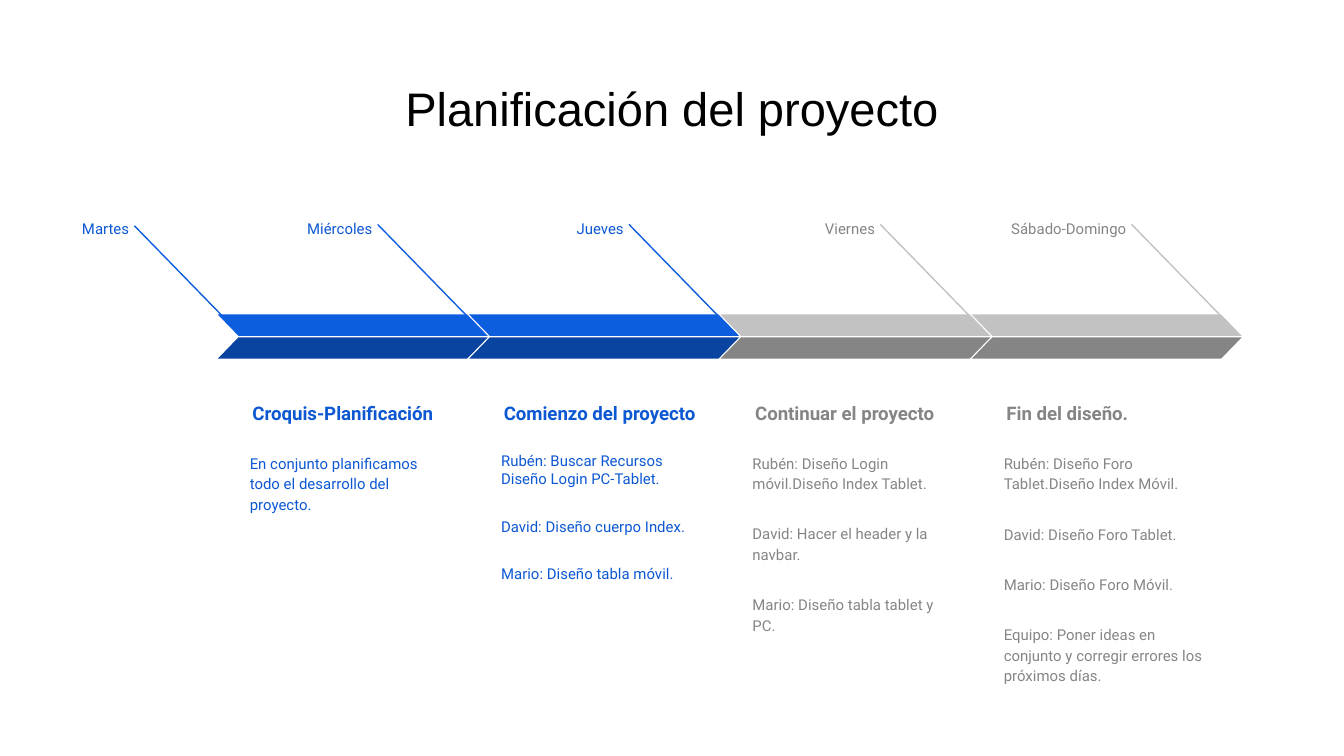
from lxml.etree import SubElement
from pptx import Presentation
from pptx.dml.color import RGBColor
from pptx.enum.shapes import MSO_CONNECTOR as CONN, MSO_SHAPE as SHAPE
from pptx.enum.text import MSO_ANCHOR as ANCHOR, PP_ALIGN as ALIGN
from pptx.oxml.ns import qn
from pptx.util import Inches, Pt

BLUE = {"text": "0C58D3", "top": "0D5DDF", "bottom": "0944A1"}
GRAY = {"text": "858585", "top": "C2C2C2", "bottom": "858585"}
LEFT, PITCH = 1.62, 1.87

STEPS = [
    ("Miércoles", 0.79, "Croquis-Planificación", BLUE, 1.15, 0.81,
     ["En conjunto planificamos todo el desarrollo del proyecto."]),
    ("Jueves", 0.68, "Comienzo del proyecto", BLUE, 1.0, 0.81,
     ["Rubén: Buscar Recursos Diseño Login PC-Tablet.",
      "David: Diseño cuerpo Index.",
      "Mario: Diseño tabla móvil."]),
    ("Viernes", 0.68, "Continuar el proyecto", GRAY, 1.15, 1.56,
     ["Rubén: Diseño Login móvil.Diseño Index Tablet.",
      "David: Hacer el header y la navbar.",
      "Mario: Diseño tabla tablet y PC."]),
    ("Sábado-Domingo", 1.09, "Fin del diseño.", GRAY, 1.15, 0.81,
     ["Rubén: Diseño Foro Tablet.Diseño Index Móvil.",
      "David: Diseño Foro Tablet.",
      "Mario: Diseño Foro Móvil.",
      "Equipo: Poner ideas en conjunto y corregir errores los próximos días."]),
]


def rgb(color):
    return RGBColor.from_string(color)


def set_frame(tf, anchor):
    tf.word_wrap = True
    tf.vertical_anchor = anchor
    tf.margin_left = tf.margin_right = Inches(0.1)
    tf.margin_top = tf.margin_bottom = Inches(0.1)


def add_run(p, text, size, color, font="Roboto", bold=False):
    r = p.add_run()
    r.text = text
    r.font.name = font
    r.font.size = Pt(size)
    r.font.bold = bold
    r.font.color.rgb = rgb(color)


def add_text(shapes, box, lines, color, size=8, bold=False, after=0,
             align=ALIGN.LEFT, anchor=ANCHOR.TOP, spacing=1.15):
    tf = shapes.add_textbox(*map(Inches, box)).text_frame
    set_frame(tf, anchor)
    for i, line in enumerate(lines):
        p = tf.add_paragraph() if i else tf.paragraphs[0]
        p.alignment = align
        p.line_spacing = spacing
        p.space_before = Pt(16 if i else 0)
        p.space_after = Pt(after)
        add_run(p, line, size, color, bold=bold)


def add_day(shapes, right, width, day, color):
    add_text(shapes, (right - width, 1.54, width, 0.26), [day], color,
             after=16, align=ALIGN.RIGHT)


def add_leader(shapes, x, y, color):
    c = shapes.add_connector(CONN.STRAIGHT, Inches(x), Inches(y),
                             Inches(x + 0.79), Inches(y + 0.81))
    c.line.color.rgb = rgb(color)
    c.line.width = Pt(0.75)
    SubElement(c._element.spPr, qn("a:effectLst"))


def add_band(shapes, x, y, color, flip=False):
    sp = shapes.add_shape(SHAPE.PARALLELOGRAM, Inches(x), Inches(y),
                          Inches(2.01), Inches(0.16))
    sp.adjustments[0] = 0.97
    sp.shadow.inherit = False
    sp.fill.solid()
    sp.fill.fore_color.rgb = rgb(color)
    sp.line.fill.background()
    if flip:
        sp._element.spPr.find(qn("a:xfrm")).set("flipH", "1")


def add_step(s, x, day, width, heading, colors, spacing, height, tasks):
    shapes = s.shapes.add_group_shape().shapes
    add_day(shapes, x + 1.25, width, day, colors["text"])
    add_text(shapes, (x + 0.16, 2.76, 1.65, 0.49), [heading], colors["text"],
             size=10, bold=True, anchor=ANCHOR.BOTTOM)
    add_text(shapes, (x + 0.14, 3.26, 1.69, height), tasks, colors["text"],
             spacing=spacing)
    add_leader(shapes, x + 1.19, 1.67, colors["top"])
    add_band(shapes, x, 2.34, colors["top"], flip=True)
    add_band(shapes, x, 2.51, colors["bottom"])


def add_title(s, text):
    sp = s.shapes.title
    sp.left, sp.top = Inches(0.34), Inches(0.49)
    sp.width, sp.height = Inches(9.32), Inches(0.63)
    set_frame(sp.text_frame, ANCHOR.MIDDLE)
    p = sp.text_frame.paragraphs[0]
    p.alignment = ALIGN.CENTER
    add_run(p, text, 25.2, "000000", font="Arial")


def main():
    prs = Presentation()
    prs.slide_width = Inches(10)
    prs.slide_height = Inches(10 * 9 / 16)
    s = prs.slides.add_slide(prs.slide_layouts[5])
    add_title(s, "Planificación del proyecto")
    for i, step in enumerate(STEPS):
        add_step(s, LEFT + i * PITCH, *step)
    add_day(s.shapes, 1.06, 0.79, "Martes", BLUE["text"])
    add_leader(s.shapes, 1, 1.68, BLUE["top"])
    prs.save("out.pptx")


if __name__ == "__main__":
    main()
